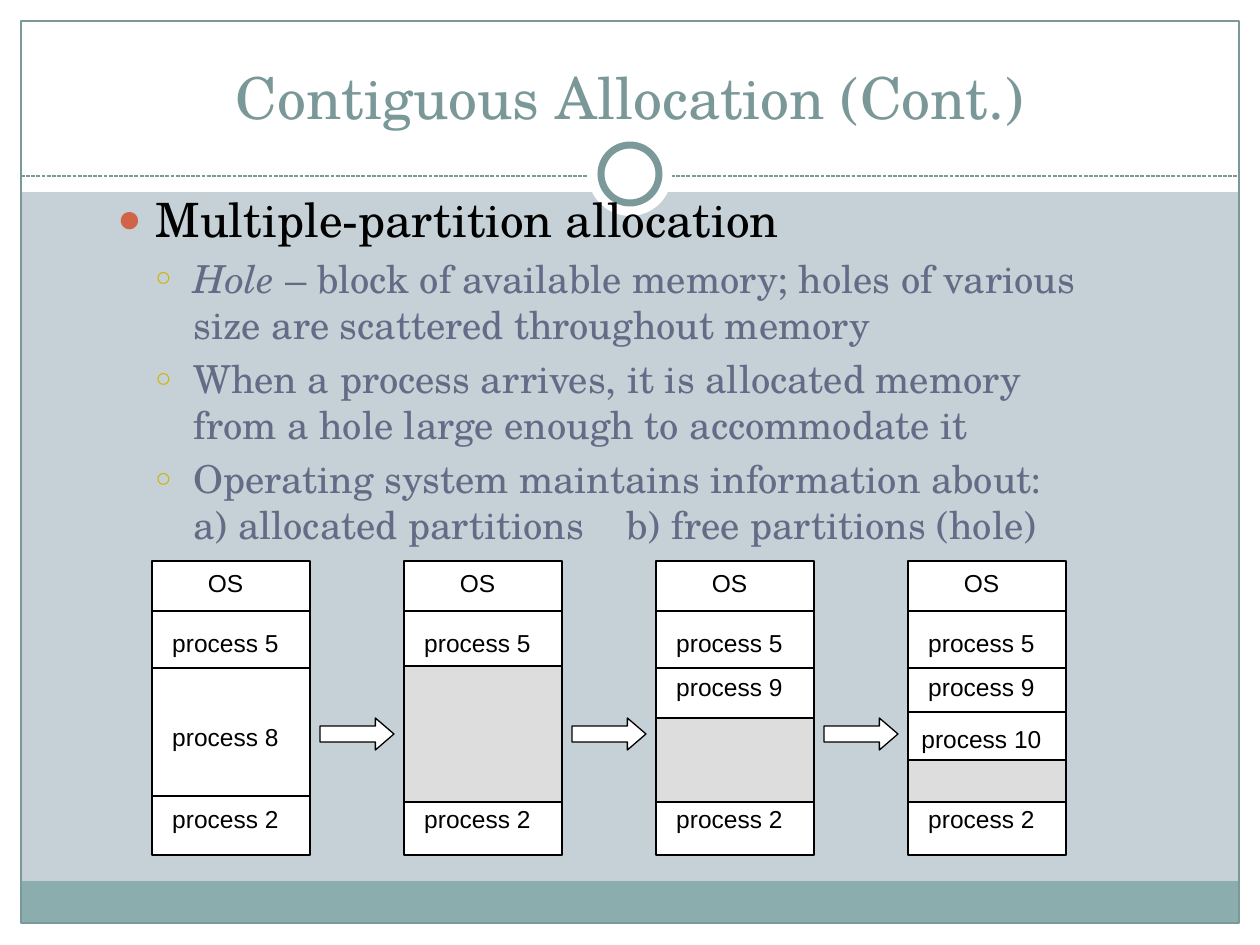
from lxml.etree import SubElement
from pptx import Presentation
from pptx.dml.color import RGBColor
from pptx.enum.dml import MSO_LINE
from pptx.enum.shapes import MSO_CONNECTOR, MSO_SHAPE
from pptx.enum.text import MSO_ANCHOR, PP_ALIGN
from pptx.oxml.ns import qn
from pptx.util import Pt

PX = 914400 / 126
WHITE = RGBColor(0xFF, 0xFF, 0xFF)
BLACK = RGBColor(0x00, 0x00, 0x00)
BACKGROUND = RGBColor(0xC5, 0xD1, 0xD7)
BAND = RGBColor(0x8C, 0xAD, 0xAE)
FRAME = RGBColor(0x7C, 0x99, 0x9A)
TITLE = RGBColor(0x7B, 0x98, 0x99)
DETAIL = RGBColor(0x64, 0x6B, 0x86)
RED_BULLET = RGBColor(0xD1, 0x63, 0x49)
GOLD_BULLET = RGBColor(0xCC, 0xB4, 0x00)
HOLE = RGBColor(0xDD, 0xDD, 0xDD)
SERIF = "TeX Gyre Schola"
SANS = "Arial"

COLUMN_STEP = 252
DIVIDERS = (50, 107, 235)
COLUMNS = (
    ({"process 8": 155}, None, ()),
    ({}, (105, 136), ()),
    ({"process 9": 105}, (157, 84), ()),
    ({"process 9": 105, "process 10": 157}, (199, 42), (151,)),
)
DETAILS = (
    (("Hole", True),
     (" – block of available memory; holes of various size are scattered throughout memory", False)),
    (("When a process arrives, it is allocated memory "
      "from a hole large enough to accommodate it", False),),
    (("Operating system maintains information about:\n"
      "a) allocated partitions\tb) free partitions (hole)", False),),
)


def emu(pixels):
    """Turn a length in px into EMU."""
    return round(pixels * PX)


def add_box(slide, kind, box, fill=None, line=None, weight=0.75):
    """Add a preset shape with a flat fill and outline."""
    shape = slide.shapes.add_shape(kind, *map(emu, box))
    shape.shadow.inherit = False
    if fill is None:
        shape.fill.background()
    else:
        shape.fill.solid()
        shape.fill.fore_color.rgb = fill
    if line is None:
        shape.line.fill.background()
    else:
        shape.line.color.rgb = line
        shape.line.width = Pt(weight)
    return shape


def add_rule(slide, left, top, width, color, dash=None):
    """Add a horizontal line."""
    rule = slide.shapes.add_connector(
        MSO_CONNECTOR.STRAIGHT, emu(left), emu(top), emu(left + width), emu(top))
    rule.line.color.rgb = color
    rule.line.width = Pt(0.75)
    if dash is not None:
        rule.line.dash_style = dash
    SubElement(rule._element.spPr, qn("a:effectLst"))


def add_frame(slide, box, anchor=MSO_ANCHOR.TOP, wrap=True):
    """Add an empty text box and return its text frame."""
    frame = slide.shapes.add_textbox(*map(emu, box)).text_frame
    frame.word_wrap = wrap
    frame.vertical_anchor = anchor
    return frame


def add_text(paragraph, text, *, size, color, font=SERIF, italic=False, align=None):
    """Append formatted text, breaking lines at newlines."""
    if align is not None:
        paragraph.alignment = align
    for index, line in enumerate(text.split("\n")):
        if index:
            paragraph.add_line_break()
        run = paragraph.add_run()
        run.text = line
        run.font.name = font
        run.font.size = Pt(size)
        run.font.italic = italic
        run.font.color.rgb = color


def set_bullet(paragraph, character, color, percent, indent, tabs=()):
    """Give a paragraph a hanging bullet and tab stops."""
    properties = paragraph._p.get_or_add_pPr()
    properties.set("marL", str(emu(indent)))
    properties.set("indent", str(emu(-38)))
    bullet_color = SubElement(properties, qn("a:buClr"))
    SubElement(bullet_color, qn("a:srgbClr"), val=str(color))
    SubElement(properties, qn("a:buSzPct"), val=str(percent * 1000))
    SubElement(properties, qn("a:buFont"), typeface=SANS)
    SubElement(properties, qn("a:buChar"), char=character)
    if tabs:
        stops = SubElement(properties, qn("a:tabLst"))
        for position in tabs:
            SubElement(stops, qn("a:tab"), pos=str(emu(position)), algn="l")


def add_backdrop(slide, width, height):
    """Draw the margins, footer band, frame and ring."""
    margins = ((0, height - 21, width, 21), (0, 0, width, 192),
               (0, 0, 21, height), (width - 21, 0, 21, height))
    for box in margins:
        add_box(slide, MSO_SHAPE.RECTANGLE, box, WHITE)
    inner = width - 42
    add_box(slide, MSO_SHAPE.RECTANGLE, (21, 881, inner, 43), BAND)
    add_box(slide, MSO_SHAPE.RECTANGLE, (21, 21, inner, height - 43), line=FRAME)
    add_rule(slide, 21, 176, inner, FRAME, MSO_LINE.SQUARE_DOT)
    add_box(slide, MSO_SHAPE.OVAL, (588, 132, 84, 84), WHITE)
    add_box(slide, MSO_SHAPE.OVAL, (601, 145, 58, 58), WHITE, FRAME, 4)


def add_title(slide, box):
    """Write the slide title."""
    frame = add_frame(slide, box, MSO_ANCHOR.BOTTOM)
    add_text(frame.paragraphs[0], "Contiguous Allocation (Cont.)",
             size=33, color=TITLE, align=PP_ALIGN.CENTER)


def add_body(slide, box):
    """Write the bulleted topic and its details."""
    frame = add_frame(slide, box)
    topic = frame.paragraphs[0]
    set_bullet(topic, "●", RED_BULLET, 85, 38)
    add_text(topic, "Multiple-partition allocation", size=27, color=BLACK)
    for pieces in DETAILS:
        paragraph = frame.add_paragraph()
        paragraph.space_before = Pt(4.4)
        tabs = (433, 509) if "\t" in pieces[-1][0] else ()
        set_bullet(paragraph, "○", GOLD_BULLET, 70, 76, tabs)
        for text, italic in pieces:
            add_text(paragraph, text, size=22, color=DETAIL, italic=italic)


def add_memory(slide, box, processes, hole, extra_dividers):
    """Draw one memory map with its partitions and hole."""
    left, top, width, height = box
    add_box(slide, MSO_SHAPE.RECTANGLE, box, WHITE, BLACK)
    for offset in DIVIDERS + extra_dividers:
        add_rule(slide, left, top + offset, width, BLACK)
    if hole:
        add_box(slide, MSO_SHAPE.RECTANGLE,
                (left, top + hole[0], width, hole[1]), HOLE, BLACK)
    labels = {"OS": 1, "process 5": 61, **processes, "process 2": 237}
    for text, offset in labels.items():
        frame = add_frame(slide, (left, top + offset, 147, 42), MSO_ANCHOR.MIDDLE, wrap=False)
        add_text(frame.paragraphs[0], text, size=14, color=BLACK, font=SANS,
                 align=PP_ALIGN.CENTER)


def add_diagram(slide, left, top):
    """Place the memory maps with an arrow between neighbours."""
    for index, column in enumerate(COLUMNS):
        column_left = left + index * COLUMN_STEP
        add_memory(slide, (column_left, top, 158, 294), *column)
        if index:
            arrow = add_box(slide, MSO_SHAPE.RIGHT_ARROW,
                            (column_left - 84, top + 157, 74, 32), WHITE, BLACK)
            arrow.adjustments[0] = 0.5
            arrow.adjustments[1] = 0.58


def main():
    """Build and save the presentation."""
    presentation = Presentation()
    presentation.slide_width = emu(1260)
    presentation.slide_height = emu(945)
    slide = presentation.slides.add_slide(presentation.slide_layouts[6])
    slide.background.fill.solid()
    slide.background.fill.fore_color.rgb = BACKGROUND
    add_backdrop(slide, 1260, 945)
    add_title(slide, (42, 32, 1176, 105))
    add_body(slide, (105, 184, 1013, 359))
    add_diagram(slide, 152, 561)
    presentation.save("out.pptx")


if __name__ == "__main__":
    main()
